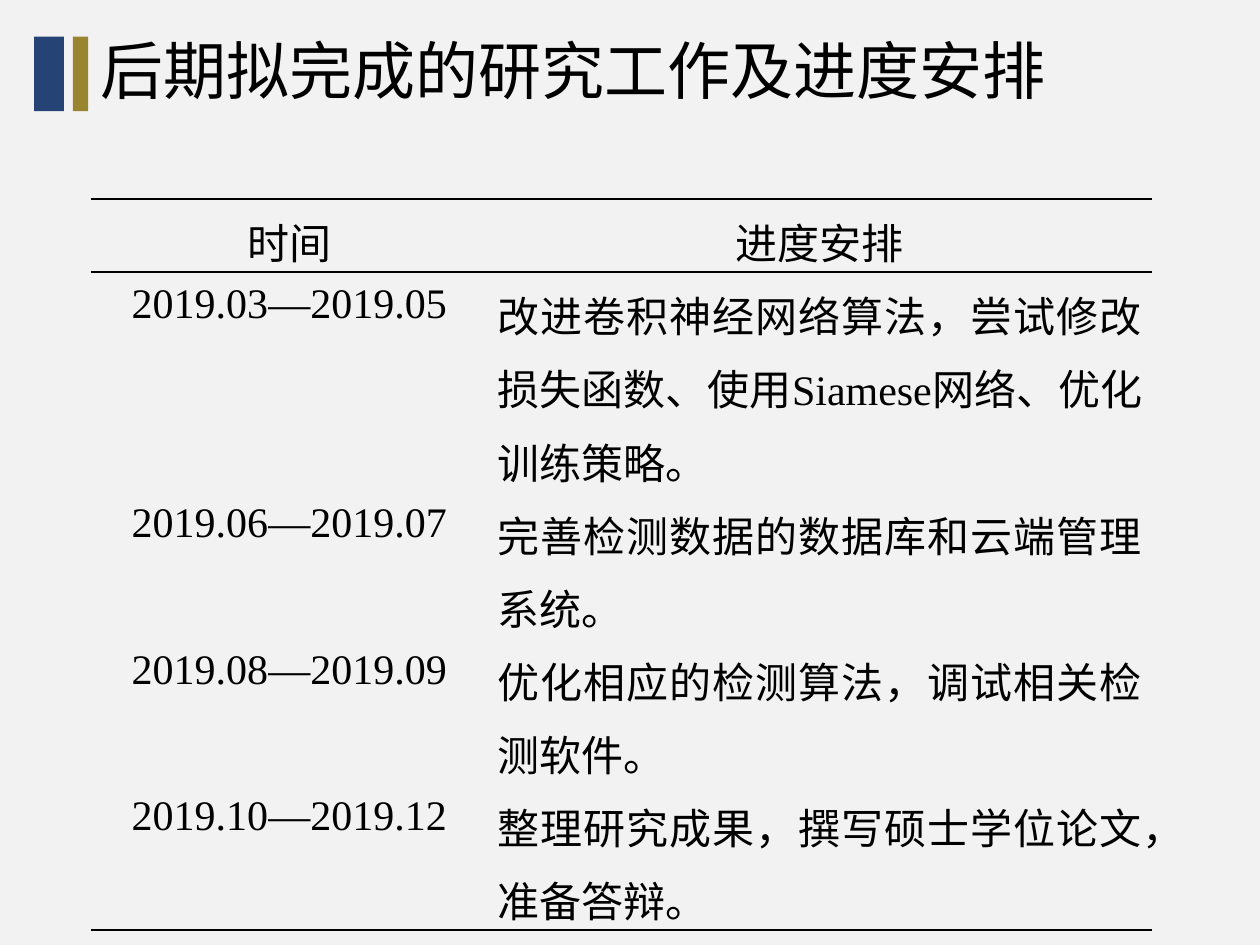
from lxml.etree import SubElement
from pptx import Presentation
from pptx.dml.color import RGBColor
from pptx.enum.shapes import MSO_SHAPE
from pptx.enum.text import MSO_ANCHOR, MSO_AUTO_SIZE, PP_ALIGN
from pptx.oxml.ns import qn
from pptx.util import Cm, Pt

BLACK = "000000"
ROWS = [
    ("时间", "进度安排"),
    ("2019.03—2019.05", "改进卷积神经网络算法，尝试修改损失函数、使用Siamese网络、优化训练策略。"),
    ("2019.06—2019.07", "完善检测数据的数据库和云端管理系统。"),
    ("2019.08—2019.09", "优化相应的检测算法，调试相关检测软件。"),
    ("2019.10—2019.12", "整理研究成果，撰写硕士学位论文，准备答辩。"),
]


def color(value):
    return RGBColor.from_string(value)


def add_text(p, text, size, font, align, spacing):
    p.alignment = align
    p.line_spacing = spacing
    r = p.add_run()
    r.text = text
    r.font.size = Pt(size)
    r.font.name = font
    r.font.color.rgb = color(BLACK)


def set_borders(cell, ruled):
    tcPr = cell._tc.get_or_add_tcPr()
    for edge in ("L", "R", "T", "B"):
        ln = SubElement(tcPr, qn(f"a:ln{edge}"), w=str(Pt(1)))
        if edge in ruled:
            fill = SubElement(ln, qn("a:solidFill"))
            SubElement(fill, qn("a:srgbClr"), val=BLACK)
        else:
            SubElement(ln, qn("a:noFill"))


def add_header(s, left, top, width, height):
    for dx, bar_width, fill in ((0, 0.6, "254375"), (0.78, 0.31, "998530")):
        sp = s.shapes.add_shape(MSO_SHAPE.RECTANGLE, Cm(left + dx), Cm(top),
                                Cm(bar_width), Cm(height))
        sp.shadow.inherit = False
        sp.fill.solid()
        sp.fill.fore_color.rgb = color(fill)
        sp.line.fill.background()
    title = s.shapes.title
    title.left, title.top = Cm(left + 1.09), Cm(top)
    title.width, title.height = Cm(width - 1.09), Cm(height)
    tf = title.text_frame
    tf.word_wrap = True
    tf.auto_size = MSO_AUTO_SIZE.NONE
    tf.vertical_anchor = MSO_ANCHOR.MIDDLE
    add_text(tf.paragraphs[0], "后期拟完成的研究工作及进度安排", 36, "Arial",
             PP_ALIGN.LEFT, 0.9)


def add_schedule(s, left, top, width, height):
    table = s.shapes.add_table(len(ROWS), 2, Cm(left), Cm(top),
                               Cm(width), Cm(height)).table
    table.first_row = False
    table.horz_banding = False
    table.columns[0].width = Cm(8)
    table.columns[1].width = Cm(width - 8)
    last = len(ROWS) - 1
    for i, row in enumerate(ROWS):
        table.rows[i].height = Cm(2.62 if i == 1 else 1.3)
        ruled = {0: "TB", 1: "T", last: "B"}.get(i, "")
        for j, text in enumerate(row):
            cell = table.cell(i, j)
            cell.margin_left = cell.margin_right = Cm(0.19)
            cell.margin_top = cell.margin_bottom = 0
            set_borders(cell, ruled)
            cell.fill.background()
            align = PP_ALIGN.JUSTIFY if i and j else PP_ALIGN.CENTER
            add_text(cell.text_frame.paragraphs[0], text, 24,
                     "Times New Roman", align, 1.2)


def main():
    prs = Presentation()
    prs.slide_width, prs.slide_height = Cm(25.4), Cm(19.05)
    s = prs.slides.add_slide(prs.slide_layouts[5])
    s.background.fill.solid()
    s.background.fill.fore_color.rgb = color("F2F2F2")
    add_header(s, 0.69, 0.74, 20.93, 1.5)
    add_schedule(s, 1.83, 4.01, 21.39, 12.27)
    prs.save("out.pptx")


if __name__ == "__main__":
    main()
